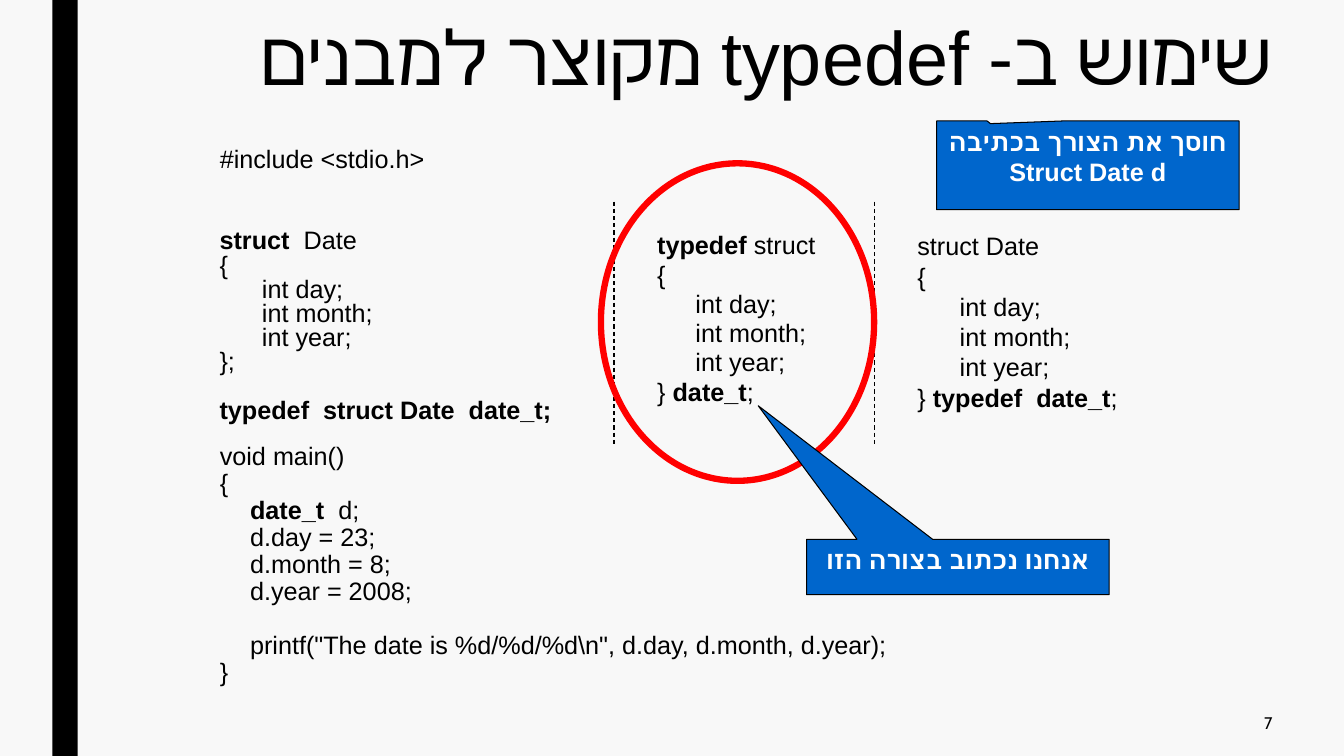
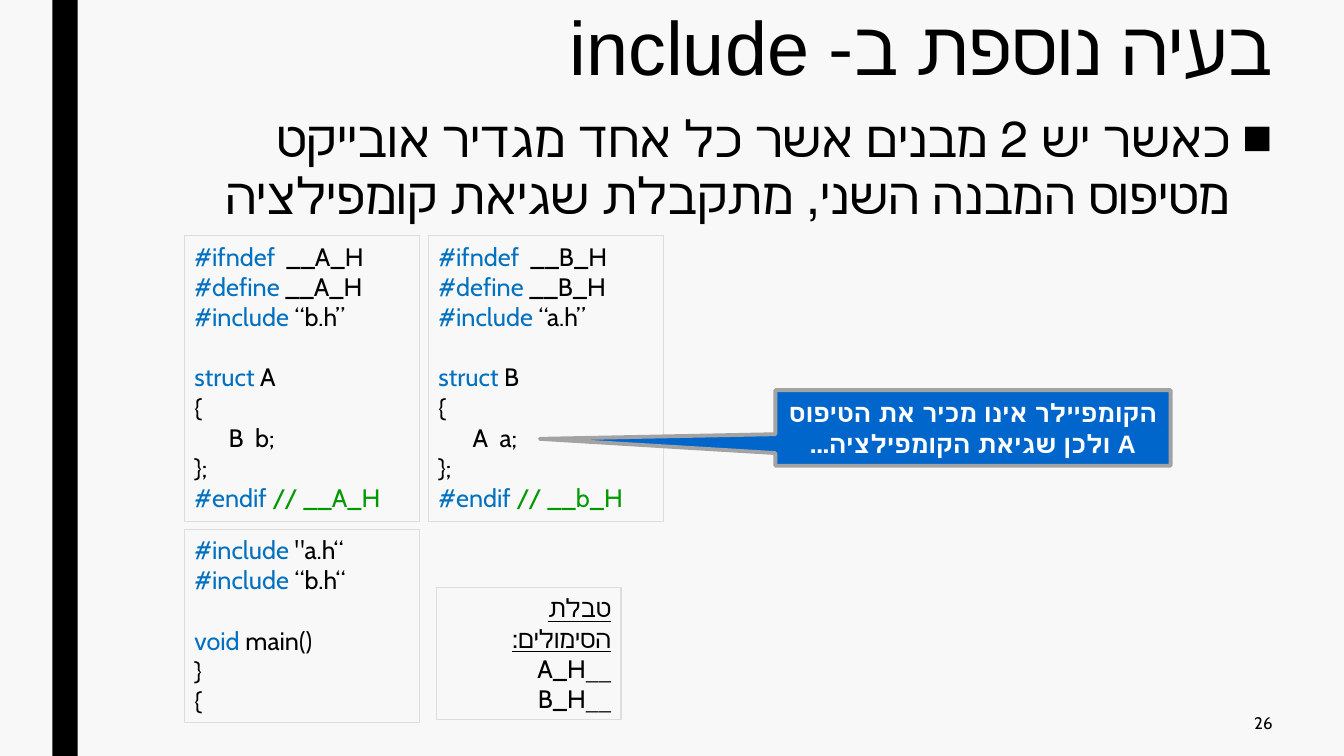
from pptx import Presentation, util as u
from pptx.dml.color import RGBColor
from pptx.enum import dml, shapes, text
from pptx.oxml.ns import qn
from lxml import etree

WIDE, HIGH = 13.33, 7.5
THEME = {
    "paper": "F8F8F8", "ink": "000000", "white": "FFFFFF", "call": "0066CC",
    "ring": "FF0000", "frame": "DDDDDD", "edge": "A3A3A3",
    "key": "0070C0", "note": "009900",
    "sans": "Arial", "code": "Cabin",
    "head": 54, "list": 36, "text": 18, "page": 12,
}
LEAD = 1.2  # line pitch as a share of the type size
SIDE = {"l": text.PP_ALIGN.LEFT, "c": text.PP_ALIGN.CENTER, "r": text.PP_ALIGN.RIGHT}
ANCHOR = {"t": text.MSO_ANCHOR.TOP, "m": text.MSO_ANCHOR.MIDDLE}

# In a line, "\n" leaves a one-line gap, "\t" indents and "|" parts the runs.
# A run may open with a mark: * bold, ~ keyword, ^ comment, ! underline.
MAIN = ["#include <stdio.h>", "\n" * 10 + "void main()", "{", "\t|*date_t | d;",
        "\td.day = 23;", "\td.month = 8;", "\td.year = 2008;",
        "\n\tprintf(\"The date is %d/%d/%d\\n\", d.day, d.month, d.year);", "}"]
FIELDS = ["\tint day;", "\tint month;", "\tint year;"]
FORMS = [  # left, width, line pitch, indent, lines
    (2.08, 4, 17.3, 0.42, ["*struct|  Date", "{", *FIELDS, "};",
                           "\n*typedef  struct Date  date_t;"]),
    (6.42, 2.67, 20.9, 0.38, ["*typedef| struct", "{", *FIELDS, "} |*date_t|;"]),
    (9, 2.75, 21.6, 0.42, ["struct Date", "{", *FIELDS, "} |*typedef  date_t|;"]),
]
RULES = [6.09, 8.67]
HINTS = [  # place, pointer, lines
    ((8, 5.35, 3, 0.55), (-0.66, -2.91), ["*אנחנו נכתוב בצורה הזו"]),
    ((9.29, 1.2, 3, 0.88), (-0.322, -0.47),
     ["*חוסך את הצורך בכתיבה", "*Struct Date d"]),
]

CLASH = ["כאשר יש 2 מבנים אשר כל אחד מגדיר אובייקט מטיפוס המבנה השני, מתקבלת שגיאת קומפילציה"]
ERROR = ["*הקומפיילר אינו מכיר את הטיפוס A ולכן שגיאת הקומפילציה..."]
HEADERS = [("A", "B", "A"), ("B", "A", "b")]  # own name, other name, closing note
USER = ["~#include |\"a.h“", "~#include |“b.h“", "\n~void| main()", "}", "{"]
TABLE = ["!טבלת", "!הסימולים:", "__A_H", "__B_H"]


def rgb(name):
    return RGBColor.from_string(THEME[name])


def box(place):
    return [u.Inches(n) for n in place]


def write(shape, lines, size="text", font="sans", color="ink", side="l", rtl=False,
          anchor="t", pitch=None, indent=0.42, bullet=None):
    """Fill a shape with marked-up lines."""
    frame = shape.text_frame
    frame.word_wrap = True
    frame.auto_size = text.MSO_AUTO_SIZE.NONE
    frame.vertical_anchor = ANCHOR[anchor]
    pitch = pitch or THEME[size] * LEAD
    for i, line in enumerate(lines):
        para = frame.add_paragraph() if i else frame.paragraphs[0]
        body = line.lstrip("\n")
        para.alignment = SIDE[side]
        para.line_spacing = u.Pt(pitch)
        para.space_before = u.Pt(pitch * (len(line) - len(body)))
        para.space_after = u.Pt(0)
        props = para._p.get_or_add_pPr()
        inset = u.Inches(indent if bullet or body.startswith("\t") else 0)
        props.set("marL", str(inset))
        props.set("indent", str(-inset if bullet else 0))
        if rtl:
            props.set("rtl", "1")
        if bullet:
            etree.SubElement(props, qn("a:buFont")).set("typeface", THEME[font])
            etree.SubElement(props, qn("a:buChar")).set("char", bullet)
        else:
            etree.SubElement(props, qn("a:buNone"))
        for part in filter(None, body.lstrip("\t").split("|")):
            mark = part[0] if part[0] in "*~^!" else ""
            run = para.add_run()
            run.text = part[len(mark):]
            face = run.font
            face.name, face.size = THEME[font], u.Pt(THEME[size])
            face.bold, face.underline = mark == "*", mark == "!"
            face.color.rgb = rgb({"~": "key", "^": "note"}.get(mark, color))


def label(slide, place, lines, **style):
    write(slide.shapes.add_textbox(*box(place)), lines, **style)


def draw(slide, kind, place, fill=None, line=None, width=0.75):
    shape = slide.shapes.add_shape(kind, *box(place))
    shape.shadow.inherit = False
    if fill:
        shape.fill.solid()
        shape.fill.fore_color.rgb = rgb(fill)
    else:
        shape.fill.background()
    if line:
        shape.line.color.rgb = rgb(line)
        shape.line.width = u.Pt(width)
    else:
        shape.line.fill.background()
    return shape


def panel(slide, place, lines, **style):
    shape = draw(slide, shapes.MSO_SHAPE.RECTANGLE, place, line="frame")
    write(shape, lines, font="code", **style)


def hint(slide, place, tip, lines, line="ink", width=0.75, **style):
    shape = draw(slide, shapes.MSO_SHAPE.RECTANGULAR_CALLOUT, place, "call", line, width)
    shape.adjustments[0], shape.adjustments[1] = tip
    write(shape, lines, color="white", side="c", **style)


def rule(slide, x, top, end):
    line = slide.shapes.add_connector(shapes.MSO_CONNECTOR.STRAIGHT, *box((x, top, x, end)))
    line.line.color.rgb = rgb("ink")
    line.line.width = u.Pt(0.75)
    line.line.dash_style = dml.MSO_LINE.DASH
    etree.SubElement(line._element.spPr, qn("a:effectLst"))


def move(shape, place):
    shape.left, shape.top, shape.width, shape.height = box(place)


def page(deck, title, top, number):
    slide = deck.slides.add_slide(deck.slide_layouts[1])
    head = slide.shapes.title
    move(head, (1.5, top, 11.22, 1.13))
    write(head, [title], size="head", side="r", rtl=True, pitch=57.7)
    label(slide, (10.97, 6.95, 1.75, 0.44), [number], size="page", font="code",
          side="r", anchor="m")
    return slide, slide.placeholders[1]


def dress(deck, slide):
    """Give the master its paper colour and side band."""
    master = deck.slide_master
    master.background.fill.solid()
    master.background.fill.fore_color.rgb = rgb("paper")
    band = draw(slide, shapes.MSO_SHAPE.RECTANGLE, (0.52, 0, 0.25, HIGH), "ink")
    master.shapes._spTree.insert(2, band._element)


def typedefs(deck):
    slide, body = page(deck, "שימוש ב- typedef מקוצר למבנים", 0.15, "7")
    dress(deck, slide)
    move(body, (2.08, 1.4, 9, 5.96))
    write(body, MAIN, pitch=19.3, indent=0.3)
    for left, width, pitch, indent, lines in FORMS:
        label(slide, (left, 2.24, width, 2.25), lines, pitch=pitch, indent=indent)
    for x in RULES:
        rule(slide, x, 2, 4.42)
    draw(slide, shapes.MSO_SHAPE.OVAL, (5.96, 1.62, 2.71, 3.15), line="ring", width=4.5)
    for place, tip, lines in HINTS:
        hint(slide, place, tip, lines)


def includes(deck):
    slide, body = page(deck, "בעיה נוספת ב- include", 0.05, "26")
    move(body, (1.5, 1.04, 11.22, 5.42))
    write(body, CLASH, size="list", side="r", rtl=True, pitch=41, bullet="■")
    left, top, wide, tall, step = 1.83, 2.34, 2.33, 2.83, 2.42
    for i, (own, other, note) in enumerate(HEADERS):
        panel(slide, (left + i * step, top, wide, tall), [
            f"~#ifndef|  __{own}_H", f"~#define| __{own}_H",
            f"~#include |“{other.lower()}.h”", f"\n~struct |{own}", "{",
            f"\t{other}  {other.lower()};", "};", f"~#endif |^// __{note}_H"], indent=0.34)
    panel(slide, (left, 5.25, wide, 1.92), USER)
    panel(slide, (4.33, 5.83, 1.83, 1.31), TABLE, side="r", rtl=True)
    hint(slide, (7.69, 3.87, 3.92, 0.75), (-1.096, 0.145), ERROR, line="edge",
         width=2.75, rtl=True, anchor="m")


def main():
    deck = Presentation()
    deck.slide_width, deck.slide_height = u.Inches(WIDE), u.Inches(HIGH)
    typedefs(deck)
    includes(deck)
    deck.save("out.pptx")


if __name__ == "__main__":
    main()
